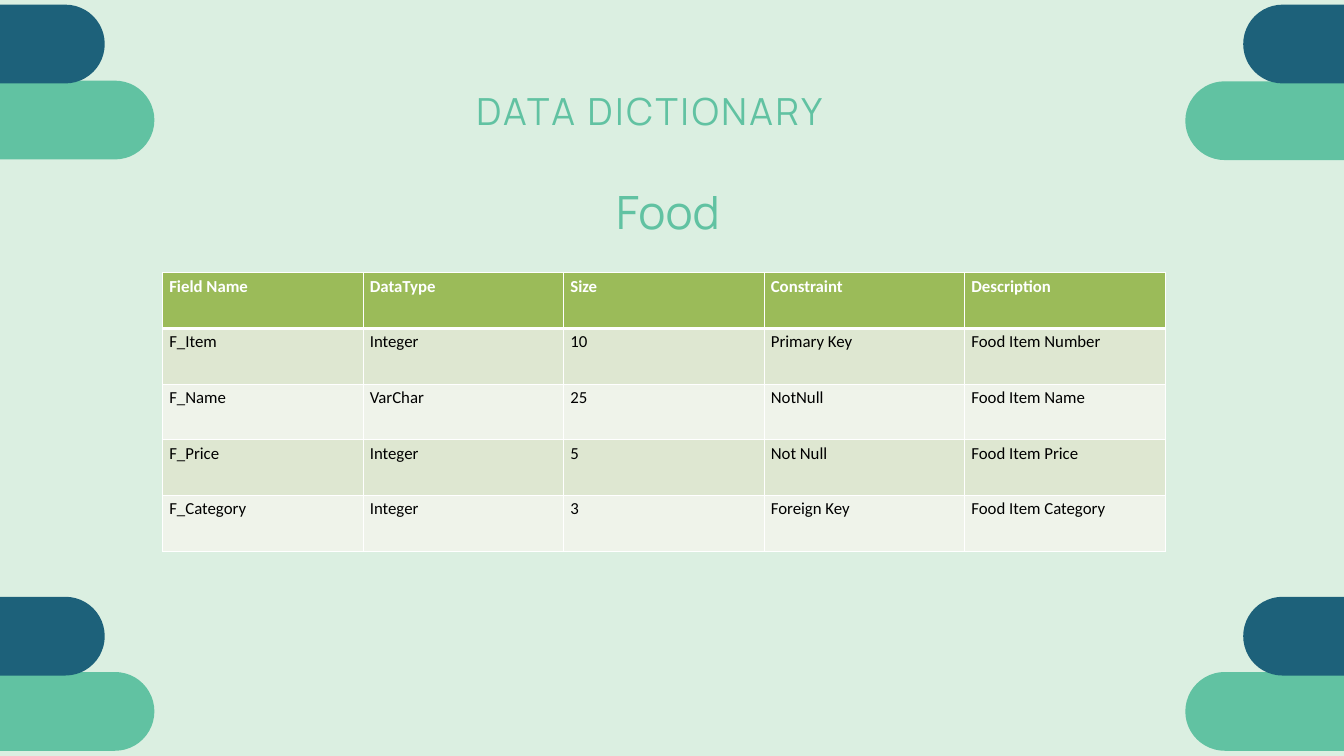
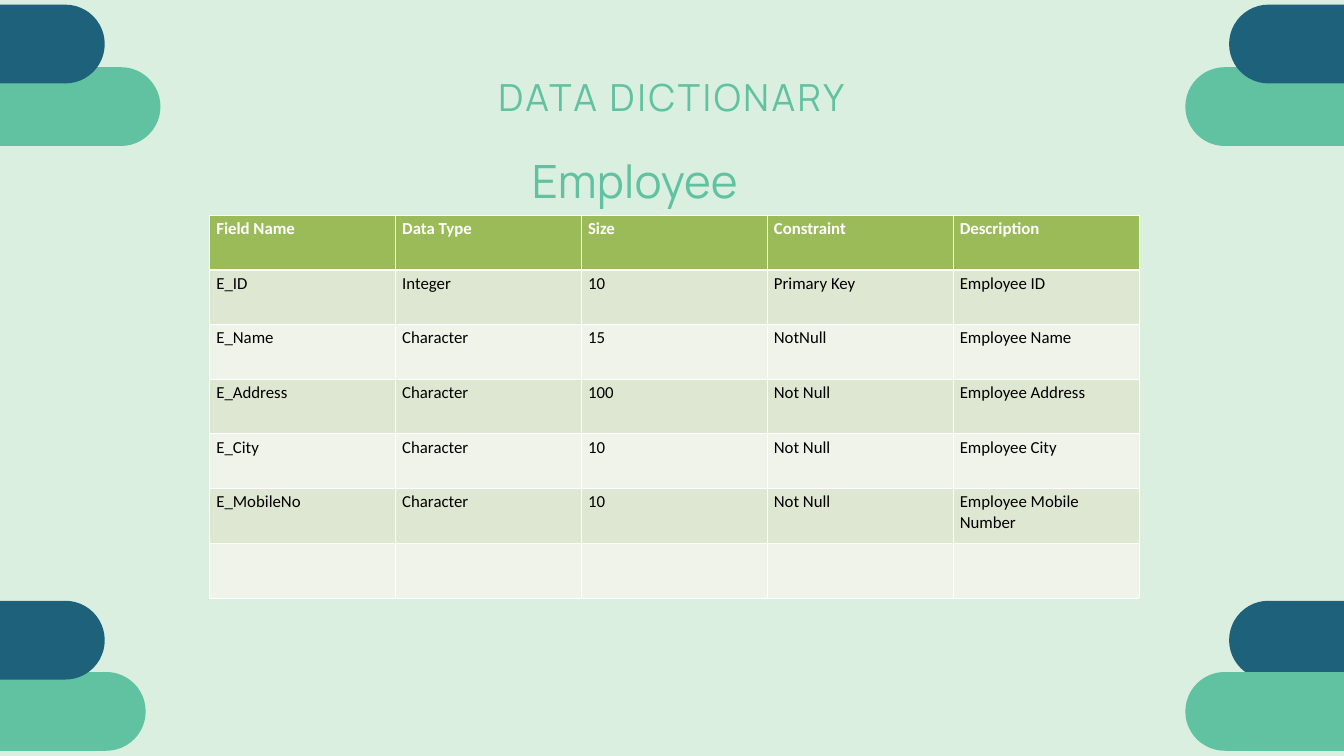
"""Build two data dictionary slides, one for food items and one for employees."""
from lxml import etree
from pptx import Presentation
from pptx.dml.color import RGBColor
from pptx.enum.shapes import MSO_SHAPE
from pptx.enum.text import MSO_ANCHOR, MSO_AUTO_SIZE, PP_ALIGN
from pptx.oxml.ns import qn
from pptx.util import Pt

PILL = MSO_SHAPE.ROUNDED_RECTANGLE
TOP = MSO_ANCHOR.TOP
NO_AUTOFIT = MSO_AUTO_SIZE.NONE
CENTER = PP_ALIGN.CENTER

MINT, GREEN, NAVY = "DBEFE1", "61C2A2", "1D617A"
WHITE, BLACK = "FFFFFF", "000000"
HEADER, ODD_ROW, EVEN_ROW = "9BBB59", "DEE7D1", "EFF3EA"
HEADING_FONT, TABLE_FONT = "Manrope", "Calibri"
PILL_WIDTH, PILL_HEIGHT = 218, 84.4


def paint(color_format, color):
    """Give a fill or a font the hex colour."""
    if hasattr(color_format, "solid"):
        color_format.solid()
        color_format.fore_color.rgb = RGBColor.from_string(color)
    else:
        color_format.color.rgb = RGBColor.from_string(color)


def set_heading(box, text, left, top, width, height, size, line_spacing):
    """Place a centred heading and return its run."""
    box.left, box.top, box.width, box.height = Pt(left), Pt(top), Pt(width), Pt(height)
    frame = box.text_frame
    frame.text = text
    frame.word_wrap = True
    frame.auto_size = NO_AUTOFIT
    frame.vertical_anchor = TOP
    frame.margin_left = frame.margin_top = frame.margin_right = frame.margin_bottom = 0
    paragraph = frame.paragraphs[0]
    paragraph.alignment = CENTER
    paragraph.line_spacing = Pt(line_spacing)
    run = paragraph.runs[0]
    run.font.size = Pt(size)
    run.font.name = HEADING_FONT
    paint(run.font, GREEN)
    return run


dictionaries = [
    {
        "entity": "Food",
        "title_at": (470.9, 94.3, 450, 48.2),
        "entity_at": (637.9, 186.5, 155.5, 69.8),
        "table_at": (174.2, 292.3, 1074.2, 298.1),
        "pills": [
            (GREEN, -52.6, 86.4), (GREEN, -52.6, 720),
            (NAVY, -105.8, 639.4), (NAVY, -105.8, 5),
            (GREEN, 1270, 87.1), (NAVY, 1332, 5),
            (GREEN, 1270, 720), (NAVY, 1332, 639.4),
        ],
        "fields": [
            ("Field Name", "DataType", "Size", "Constraint", "Description"),
            ("F_Item", "Integer", "10", "Primary Key", "Food Item Number"),
            ("F_Name", "VarChar", "25", "NotNull", "Food Item Name"),
            ("F_Price", "Integer", "5", "Not Null", "Food Item Price"),
            ("F_Category", "Integer", "3", "Foreign Key", "Food Item Category"),
        ],
    },
    {
        "entity": "Employee",
        "title_at": (494.6, 79.9, 450, 48.2),
        "entity_at": (563.8, 154.1, 232.6, 64.8),
        "table_at": (224.6, 230.4, 995.8, 410.4),
        "pills": [
            (GREEN, -46.1, 72), (GREEN, -61.9, 720),
            (NAVY, -105.8, 643.7), (NAVY, -105.8, 5),
            (GREEN, 1270, 72), (NAVY, 1316.9, 5),
            (NAVY, 1316.9, 643.7), (GREEN, 1270, 720),
        ],
        "fields": [
            ("Field Name", "Data Type", "Size", "Constraint", "Description"),
            ("E_ID", "Integer", "10", "Primary Key", "Employee ID"),
            ("E_Name", "Character", "15", "NotNull", "Employee Name"),
            ("E_Address", "Character", "100", "Not Null", "Employee Address"),
            ("E_City", "Character", "10", "Not Null", "Employee City"),
            ("E_MobileNo", "Character", "10", "Not Null", "Employee Mobile Number"),
            ("", "", "", "", ""),
        ],
    },
]

prs = Presentation()
prs.slide_width, prs.slide_height = Pt(1440), Pt(810)
paint(prs.slide_master.background.fill, MINT)
title_only = prs.slide_layouts[5]

for dictionary in dictionaries:
    slide = prs.slides.add_slide(title_only)

    for color, left, top in dictionary["pills"]:
        pill = slide.shapes.add_shape(PILL, Pt(left), Pt(top), Pt(PILL_WIDTH), Pt(PILL_HEIGHT))
        pill.adjustments[0] = 0.5
        pill.shadow.inherit = False
        pill.line.fill.background()
        paint(pill.fill, color)

    title_run = set_heading(slide.shapes.title, "DATA DICTIONARY", *dictionary["title_at"], 40, 48)
    title_run.font._element.set("spc", "280")
    entity_box = slide.shapes.add_textbox(0, 0, 0, 0)
    set_heading(entity_box, dictionary["entity"], *dictionary["entity_at"], 49.1, 68.7)

    fields = dictionary["fields"]
    left, top, width, height = dictionary["table_at"]
    table = slide.shapes.add_table(
        len(fields), len(fields[0]), Pt(left), Pt(top), Pt(width), Pt(height)).table

    for row, values in enumerate(fields):
        is_header = row == 0
        row_fill = HEADER if is_header else ODD_ROW if row % 2 else EVEN_ROW
        borders = {"L": 1, "R": 1, "T": 3 if row == 1 else 1, "B": 3 if is_header else 1}
        for column, value in enumerate(values):
            cell = table.cell(row, column)
            paint(cell.fill, row_fill)
            if value:
                cell.text_frame.text = value
                font = cell.text_frame.paragraphs[0].runs[0].font
                font.size = Pt(18)
                font.name = TABLE_FONT
                font.bold = is_header
                paint(font, WHITE if is_header else BLACK)
            cell_properties = cell._tc.get_or_add_tcPr()
            for position, (side, weight) in enumerate(borders.items()):
                border = etree.Element(qn(f"a:ln{side}"), w=str(Pt(weight)))
                border_fill = etree.SubElement(border, qn("a:solidFill"))
                etree.SubElement(border_fill, qn("a:srgbClr"), val=WHITE)
                cell_properties.insert(position, border)

prs.save("out.pptx")
